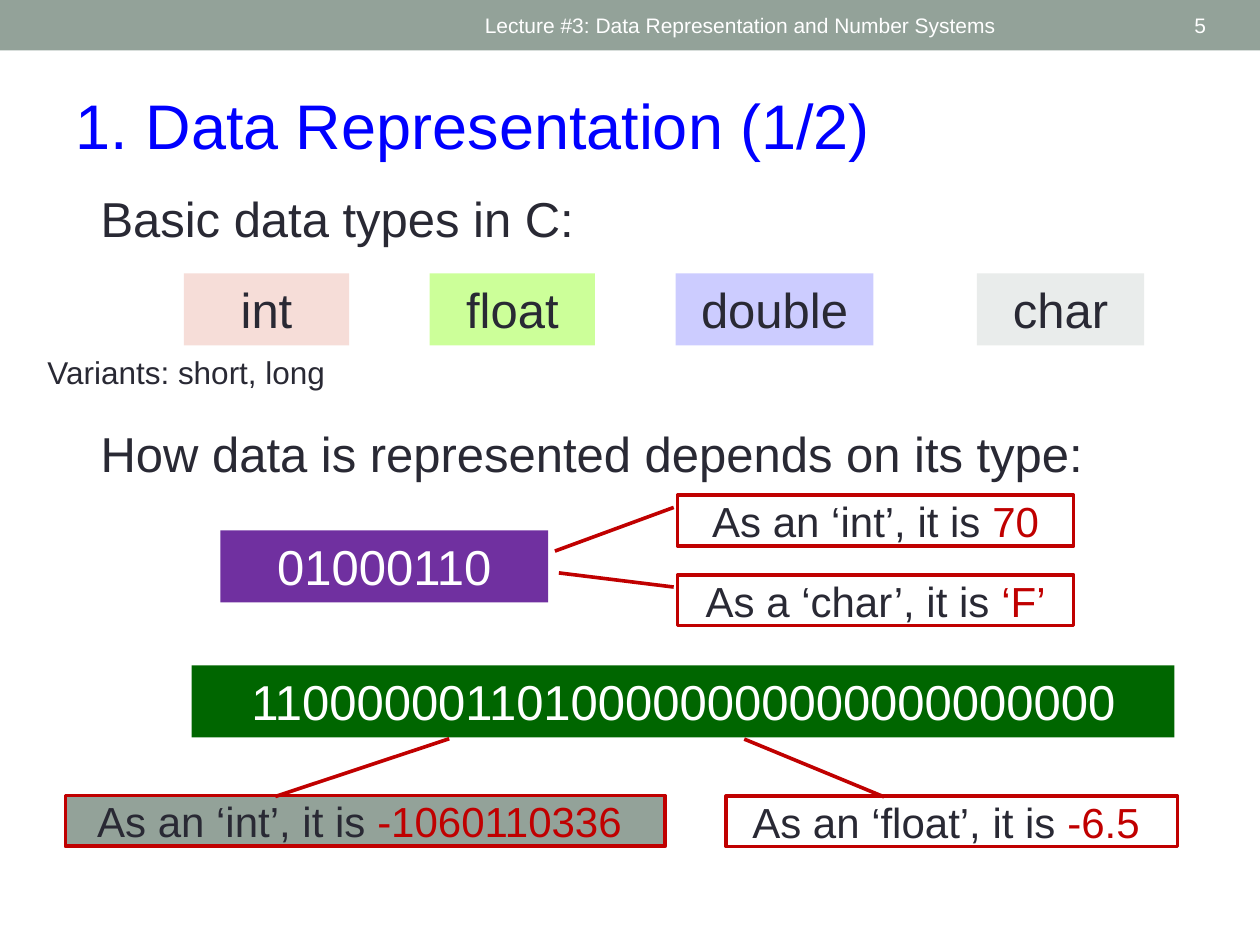
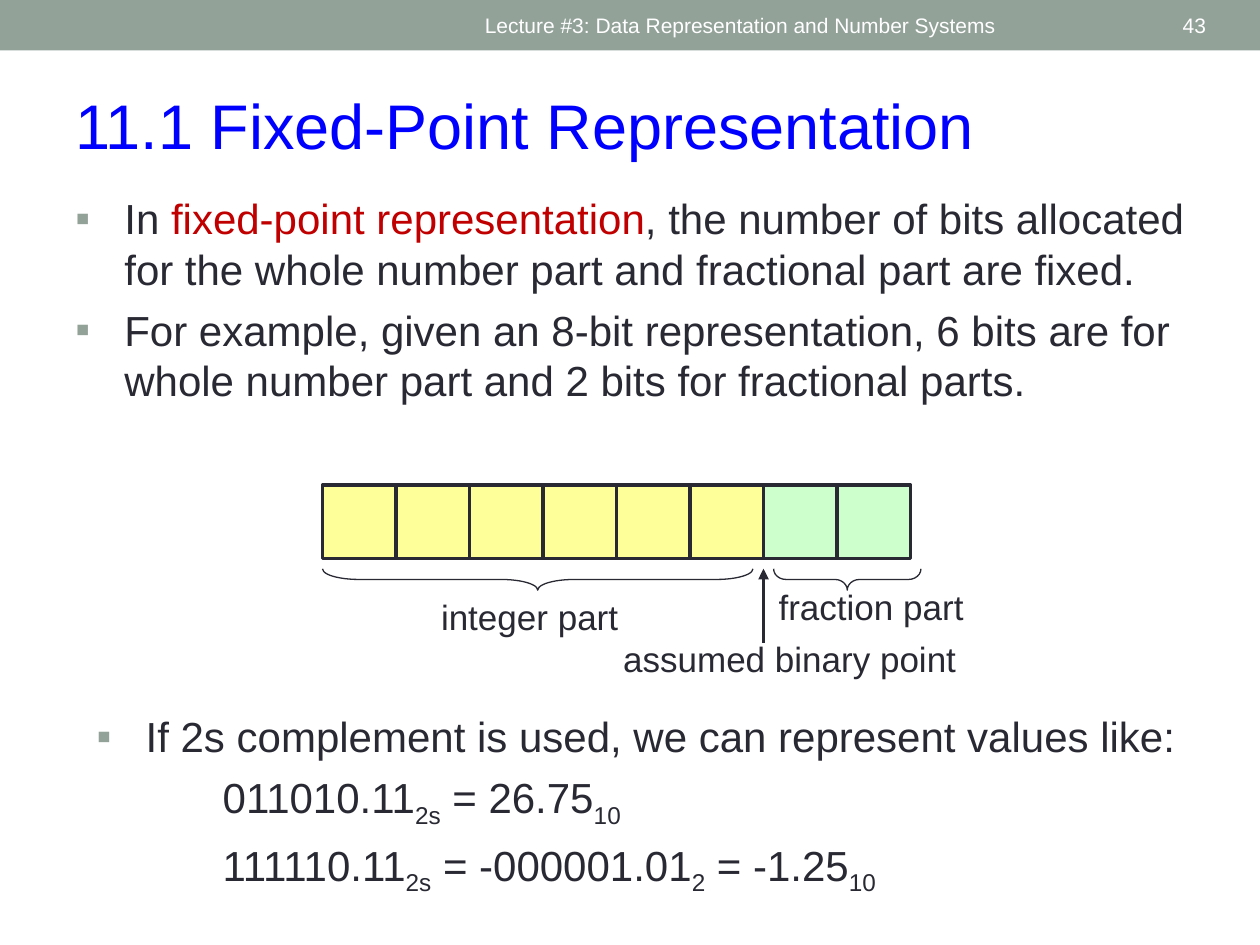
from dataclasses import dataclass

from lxml import etree
from pptx import Presentation
from pptx.dml.color import RGBColor
from pptx.enum.shapes import MSO_CONNECTOR, MSO_SHAPE
from pptx.enum.text import MSO_ANCHOR, MSO_AUTO_SIZE, PP_ALIGN
from pptx.oxml.ns import qn
from pptx.util import Pt

RECTANGLE = MSO_SHAPE.RECTANGLE
CALLOUT = MSO_SHAPE.LINE_CALLOUT_1
BRACE = MSO_SHAPE.LEFT_BRACE
STRAIGHT = MSO_CONNECTOR.STRAIGHT
TOP, MIDDLE = MSO_ANCHOR.TOP, MSO_ANCHOR.MIDDLE
LEFT, CENTER, RIGHT = PP_ALIGN.LEFT, PP_ALIGN.CENTER, PP_ALIGN.RIGHT
NO_AUTOFIT = MSO_AUTO_SIZE.NONE
TITLE_ONLY = 5


@dataclass(frozen=True)
class Theme:
    font: str = "Arial"
    ink: str = "292934"
    white: str = "FFFFFF"
    sage: str = "93A299"
    title: str = "0000FF"
    accent: str = "C00000"
    int_fill: str = "F6DDD8"
    float_fill: str = "CCFF99"
    double_fill: str = "CCCCFF"
    char_fill: str = "E9ECEB"
    byte_fill: str = "7030A0"
    word_fill: str = "006600"
    integer_bit: str = "FFFF99"
    fraction_bit: str = "CCFFCC"
    title_size: int = 36
    heading_size: int = 28
    body_size: int = 24
    label_size: int = 20
    note_size: int = 18
    footer_size: int = 12


THEME = Theme()
ACCENT = {"color": THEME.accent}
SUBSCRIPT = {"baseline": -25000}


def rgb(color):
    return RGBColor.from_string(color)


def write_text(frame, text, size=THEME.body_size, color=THEME.ink, align=LEFT,
               anchor=TOP, indent=0, hanging=0, space_before=0, bullet=None,
               append=False):
    frame.word_wrap = True
    frame.auto_size = NO_AUTOFIT
    frame.vertical_anchor = anchor
    paragraph = frame.add_paragraph() if append else frame.paragraphs[0]
    paragraph.alignment = align
    paragraph.space_before = Pt(space_before)
    properties = paragraph._p.get_or_add_pPr()
    properties.set("marL", str(Pt(indent)))
    properties.set("indent", str(Pt(-hanging)))
    if bullet:
        bullet_color = etree.SubElement(properties, qn("a:buClr"))
        etree.SubElement(bullet_color, qn("a:srgbClr"), val=THEME.sage)
        etree.SubElement(properties, qn("a:buFont"), typeface=THEME.font)
        etree.SubElement(properties, qn("a:buChar"), char=bullet)
    pieces = [(text, {})] if isinstance(text, str) else text
    for words, style in pieces:
        run = paragraph.add_run()
        run.text = words
        run.font.name = THEME.font
        run.font.size = Pt(size)
        run.font.color.rgb = rgb(style.get("color", color))
        if "baseline" in style:
            run._r.get_or_add_rPr().set("baseline", str(style["baseline"]))


def add_text(slide, bounds, text, **text_format):
    box = slide.shapes.add_textbox(*map(Pt, bounds))
    write_text(box.text_frame, text, **text_format)
    return box


def add_body(slide, bounds, paragraphs):
    frame = slide.shapes.add_textbox(*map(Pt, bounds)).text_frame
    for index, (text, layout) in enumerate(paragraphs):
        write_text(frame, text, space_before=6, append=index > 0, **layout)


def add_shape(slide, kind, bounds, fill=None, line=None, width=2):
    shape = slide.shapes.add_shape(kind, *map(Pt, bounds))
    shape.shadow.inherit = False
    if fill:
        shape.fill.solid()
        shape.fill.fore_color.rgb = rgb(fill)
    else:
        shape.fill.background()
    if line:
        shape.line.color.rgb = rgb(line)
        shape.line.width = Pt(width)
    else:
        shape.line.fill.background()
    return shape


def add_label_box(slide, bounds, text, fill, color=THEME.ink):
    box = add_shape(slide, RECTANGLE, bounds, fill)
    write_text(box.text_frame, text, size=THEME.heading_size, color=color,
               align=CENTER)


def add_callout(slide, bounds, lead, value, pointer, fill=None):
    callout = add_shape(slide, CALLOUT, bounds, fill, THEME.accent, 2.08)
    for index, position in enumerate(pointer):
        callout.adjustments[index] = position
    write_text(callout.text_frame, [(lead, {}), (value, ACCENT)],
               align=CENTER, anchor=MIDDLE)


def add_brace_below(slide, left, top, length, curve):
    depth = 12.2
    offset = (length - depth) / 2
    bounds = (left + offset, top - offset, depth, length)
    brace = add_shape(slide, BRACE, bounds, line=THEME.ink, width=0.75)
    brace.rotation = 270
    brace.adjustments[0] = curve


def add_arrow(slide, start, end):
    connector = slide.shapes.add_connector(STRAIGHT, *map(Pt, start + end))
    connector.line.color.rgb = rgb(THEME.ink)
    connector.line.width = Pt(2)
    properties = connector.element.spPr
    etree.SubElement(properties.find(qn("a:ln")), qn("a:tailEnd"), type="triangle")
    etree.SubElement(properties, qn("a:effectLst"))


def add_layout_band(slide):
    band = add_shape(slide, RECTANGLE, (0, 0, 720, 28.8), THEME.sage)
    slide.slide_layout.shapes.element.insert(2, band.element)


def add_titled_slide(presentation, title, number):
    slide = presentation.slides.add_slide(presentation.slide_layouts[TITLE_ONLY])
    placeholder = slide.shapes.title
    placeholder.left, placeholder.top = Pt(36), Pt(46)
    placeholder.width, placeholder.height = Pt(648), Pt(51)
    write_text(placeholder.text_frame, title, size=THEME.title_size,
               color=THEME.title)
    footer = {"size": THEME.footer_size, "color": THEME.white, "anchor": MIDDLE}
    add_text(slide, (270, 1.44, 324, 25.92),
             "Lecture #3: Data Representation and Number Systems", **footer)
    add_text(slide, (628, 1.44, 68.3, 25.92), number, align=RIGHT, **footer)
    return slide


def build_data_types(presentation):
    slide = add_titled_slide(presentation, "1. Data Representation (1/2)", "5")
    add_layout_band(slide)
    box_height, callout_height = 41.2, 29

    add_text(slide, (50.4, 104.4, 310, box_height), "Basic data types in C:",
             size=THEME.heading_size)
    for left, width, name, fill in (
        (105.1, 94.4, "int", THEME.int_fill),
        (245.6, 94.4, "float", THEME.float_fill),
        (386.1, 113, "double", THEME.double_fill),
        (558.2, 95.7, "char", THEME.char_fill),
    ):
        add_label_box(slide, (left, 156.2, width, box_height), name, fill)
    add_text(slide, (20, 198, 180, 29), "Variants: short, long",
             size=THEME.note_size)

    add_text(slide, (50.4, 238.3, 603, box_height),
             "How data is represented depends on its type:",
             size=THEME.heading_size)
    add_label_box(slide, (126, 303.1, 187.2, box_height), "01000110",
                  THEME.byte_fill, THEME.white)
    add_label_box(slide, (109.6, 380.2, 561.6, box_height),
                  "11000000110100000000000000000000",
                  THEME.word_fill, THEME.white)

    for left, top, width, lead, value, pointer, fill in (
        (387.2, 283, 226.3, "As an ‘int’, it is ", "70",
         (0.24, -0.01, 1.1, -0.31), None),
        (387.2, 328.5, 226.3, "As a ‘char’, it is ", "‘F’",
         (0.24, -0.01, -0.04, -0.3), None),
        (37.4, 454.6, 342.7, "As an ‘int’, it is ", "-1060110336 ",
         (0.02, 0.35, -1.12, 0.64), THEME.sage),
        (415, 454.8, 257.8, "As an ‘float’, it is ", "-6.5 ",
         (0.02, 0.35, -1.12, 0.04), None),
    ):
        add_callout(slide, (left, top, width, callout_height), lead, value,
                    pointer, fill)


def build_fixed_point(presentation):
    slide = add_titled_slide(presentation, "11.1 Fixed-Point Representation", "43")
    bulleted = {"bullet": "▪", "indent": 28, "hanging": 28}
    equation = {"indent": 72}

    add_body(slide, (36, 106.6, 648, 168.5), [
        ([("In ", {}), ("fixed-point representation", ACCENT),
          (", the number of bits allocated for the whole number part and "
           "fractional part are fixed.", {})], bulleted),
        ("For example, given an 8-bit representation, 6 bits are for whole "
         "number part and 2 bits for fractional parts.", bulleted),
    ])

    bits_left, bits_top, bit_size = 184.3, 277.2, 42
    integer_bits, fraction_bits = 6, 2
    point = bits_left + integer_bits * bit_size
    fills = [THEME.integer_bit] * integer_bits + [THEME.fraction_bit] * fraction_bits
    for index, fill in enumerate(fills):
        bounds = (bits_left + index * bit_size, bits_top, bit_size, bit_size)
        add_shape(slide, RECTANGLE, bounds, fill, THEME.ink)

    brace_top = 325
    add_brace_below(slide, bits_left, brace_top, 246, 1.71)
    add_brace_below(slide, point + 5.8, brace_top, 84.2, 0.58)
    add_arrow(slide, (point, 367.2), (point, brace_top))
    for bounds, label in (
        ((244, 337, 117.4, 31), "integer part"),
        ((436.3, 331.2, 123, 31), "fraction part"),
        ((328.3, 361, 246, 31), "assumed binary point"),
    ):
        add_text(slide, bounds, label, size=THEME.label_size, align=CENTER)

    add_body(slide, (48.2, 402.5, 648, 109.4), [
        ("If 2s complement is used, we can represent values like:", bulleted),
        ([("011010.11", {}), ("2s", SUBSCRIPT), (" = 26.75", {}),
          ("10", SUBSCRIPT)], equation),
        ([("111110.11", {}), ("2s", SUBSCRIPT), (" = -000001.01", {}),
          ("2", SUBSCRIPT), (" = -1.25", {}), ("10", SUBSCRIPT)], equation),
    ])


def main():
    presentation = Presentation()
    presentation.slide_width, presentation.slide_height = Pt(720), Pt(540)
    build_data_types(presentation)
    build_fixed_point(presentation)
    presentation.save("out.pptx")


if __name__ == "__main__":
    main()
